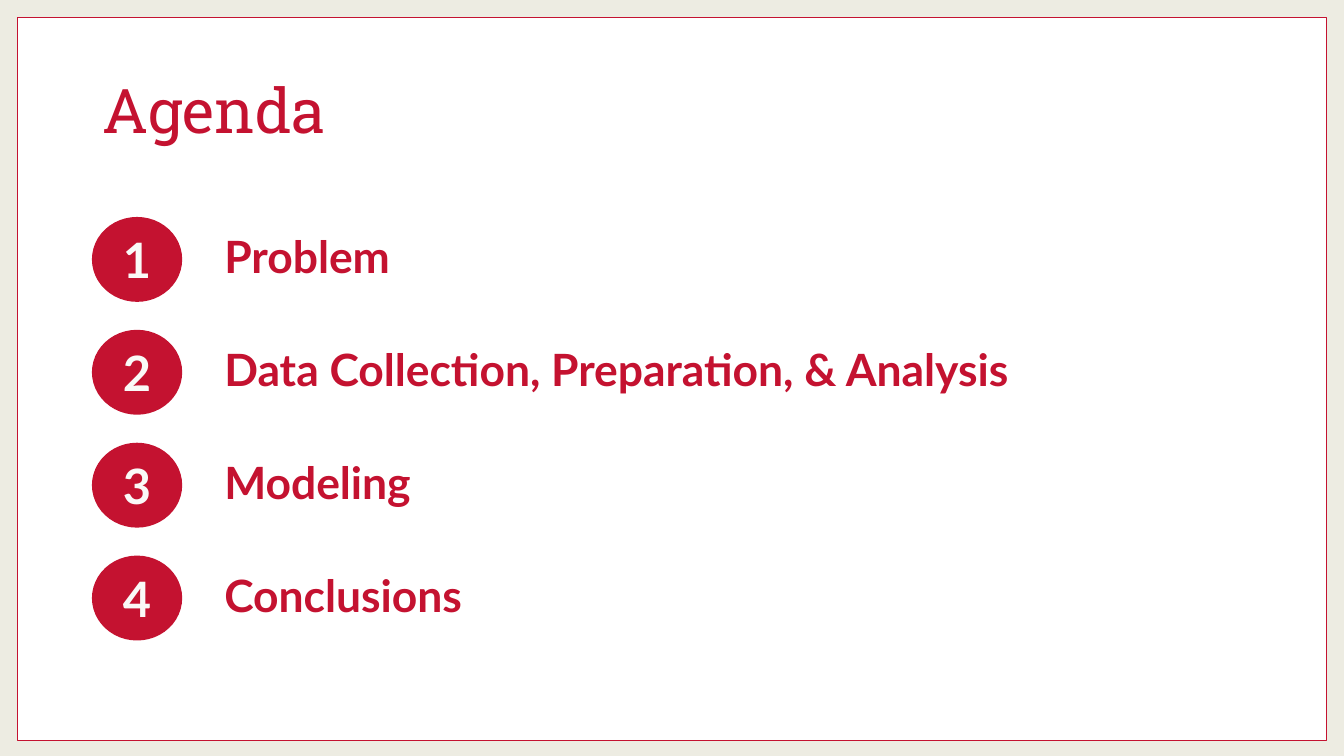
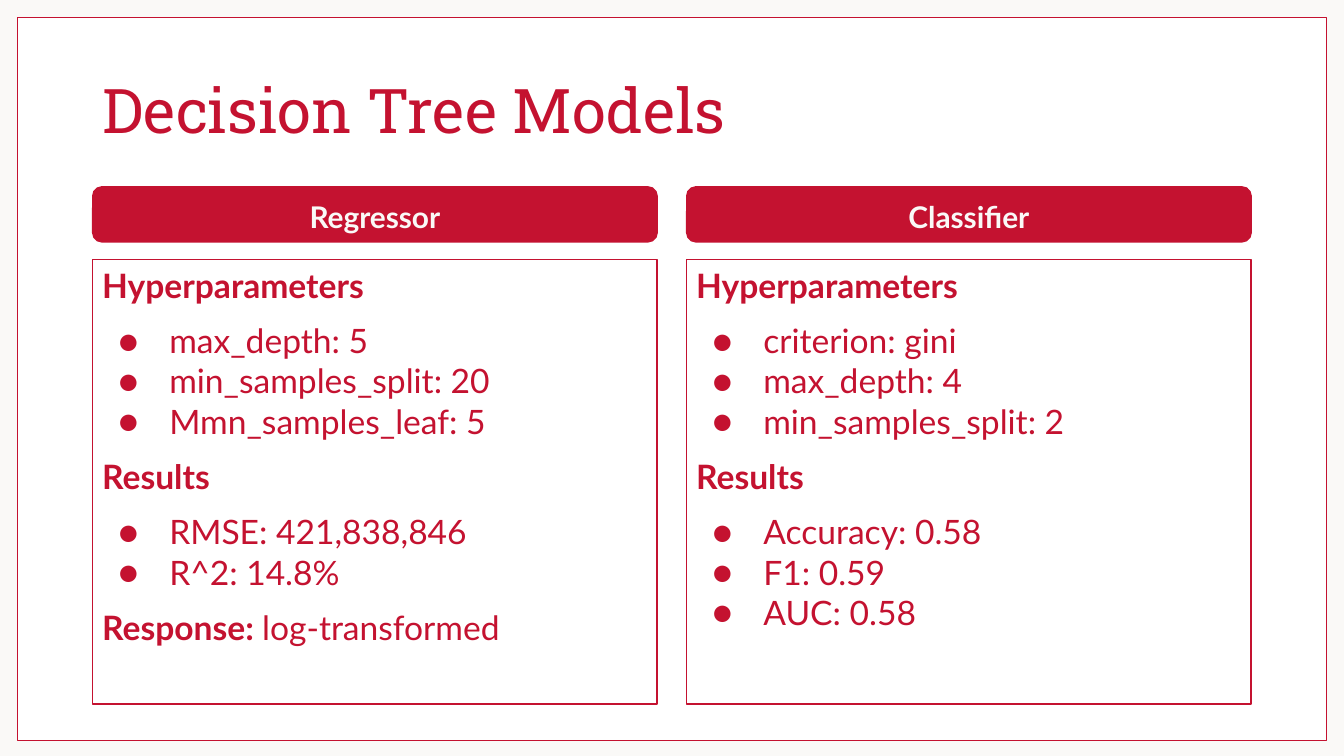
import pptx
import pptx.dml.color
import pptx.enum.shapes
import pptx.enum.text
import pptx.oxml
import pptx.oxml.ns
import pptx.util

Inches = pptx.util.Inches
Pt = pptx.util.Pt
Shape = pptx.enum.shapes.MSO_SHAPE
Align = pptx.enum.text.PP_ALIGN
Anchor = pptx.enum.text.MSO_ANCHOR

COLORS = {"red": "C41230", "white": "FFFFFF", "cream": "FAF9F7", "sand": "EDECE2"}
LEFT, WIDTH = 0.69, 8.62


def color(name):
    return pptx.dml.color.RGBColor.from_string(COLORS[name])


def write(para, text, size=18, font="Lato", ink="red", bold=False, align=Align.LEFT,
          lead=1.0, before=0, bullet=False):
    """Add a run of text to a paragraph and format both."""
    para.alignment = align
    para.line_spacing = lead
    para.space_before = Pt(before)
    if bullet:
        props = para._p.get_or_add_pPr()
        props.set("marL", str(Inches(0.5)))
        props.set("indent", str(Inches(-0.38)))
        space = pptx.oxml.ns.nsdecls("a")
        for mark in (f'<a:buClr {space}><a:srgbClr val="{COLORS[ink]}"/></a:buClr>',
                     f'<a:buFont {space} typeface="{font}"/>',
                     f'<a:buChar {space} char="●"/>'):
            props.append(pptx.oxml.parse_xml(mark))
    run = para.add_run()
    run.text = text
    run.font.size = Pt(size)
    run.font.name = font
    run.font.bold = bold
    run.font.color.rgb = color(ink)


class Deck:
    def __init__(self):
        self.prs = pptx.Presentation()
        self.prs.slide_width = Inches(10)
        self.prs.slide_height = Inches(10) * 9 // 16
        self.slide = None

    def page(self, title, back):
        """Start a slide with its background, frame and title."""
        self.slide = self.prs.slides.add_slide(self.prs.slide_layouts[6])
        fill = self.slide.background.fill
        fill.solid()
        fill.fore_color.rgb = color(back)
        self.shape(Shape.RECTANGLE, 0.13, 0.13, 9.74, 5.38, fill="white")
        frame = self.label(LEFT, 0.3, WIDTH, 1.09, pad=(0.07, 0.04))
        write(frame.paragraphs[0], title, size=33, font="Roboto Slab", lead=0.9)

    def inset(self, frame, pad, anchor):
        frame.word_wrap = True
        frame.vertical_anchor = anchor
        frame.margin_left = frame.margin_right = Inches(pad[0])
        frame.margin_top = frame.margin_bottom = Inches(pad[1])
        return frame

    def label(self, x, y, w, h, pad=(0.11, 0.11)):
        box = self.slide.shapes.add_textbox(Inches(x), Inches(y), Inches(w), Inches(h))
        return self.inset(box.text_frame, pad, Anchor.MIDDLE)

    def shape(self, kind, x, y, w, h, fill=None, line=0.75, pad=(0.1, 0.1),
              anchor=Anchor.MIDDLE):
        item = self.slide.shapes.add_shape(kind, Inches(x), Inches(y), Inches(w), Inches(h))
        item.shadow.inherit = False
        if fill:
            item.fill.solid()
            item.fill.fore_color.rgb = color(fill)
        else:
            item.fill.background()
        item.line.color.rgb = color("red")
        item.line.width = Pt(line)
        return self.inset(item.text_frame, pad, anchor)

    def topic(self, num, text, y):
        """Numbered disc with its agenda entry."""
        disc = self.shape(Shape.OVAL, LEFT, y, 0.66, 0.62, fill="red", line=0.85,
                          pad=(0.11, 0.11))
        write(disc.paragraphs[0], str(num), size=26.1, ink="cream", bold=True,
              align=Align.CENTER)
        entry = self.label(1.56, y, 7.6, 0.62)
        write(entry.paragraphs[0], text, size=23.8, bold=True, lead=0.9)

    def panel(self, title, parts, x, w):
        """Header bar above a box of headed bullet lists."""
        bar = self.shape(Shape.ROUNDED_RECTANGLE, x, 1.39, w, 0.41, fill="red")
        write(bar.paragraphs[0], title, size=16, ink="cream", bold=True,
              align=Align.CENTER, lead=1.15)
        body = self.shape(Shape.RECTANGLE, x, 1.93, w, 3.31, pad=(0.07, 0.04),
                          anchor=Anchor.TOP)
        for i, (head, tail, items) in enumerate(parts):
            para = body.add_paragraph() if i else body.paragraphs[0]
            gap = 8 if i else 0
            write(para, head, bold=True, before=gap)
            if tail:
                write(para, tail, before=gap)
            for j, item in enumerate(items):
                write(body.add_paragraph(), item, before=0 if j else 8, bullet=True)


def main():
    deck = Deck()

    # Agenda
    deck.page("Agenda", "sand")
    topics = ["Problem", "Data Collection, Preparation, & Analysis", "Modeling",
              "Conclusions"]
    for i, text in enumerate(topics):
        deck.topic(i + 1, text, 1.62 + 0.84 * i)

    # Decision tree models
    deck.page("Decision Tree Models", "cream")
    models = {
        "Regressor": [
            ("Hyperparameters", "",
             ["max_depth: 5", "min_samples_split: 20", "Mmn_samples_leaf: 5"]),
            ("Results", "", ["RMSE: 421,838,846", "R^2: 14.8%"]),
            ("Response: ", "log-transformed", []),
        ],
        "Classifier": [
            ("Hyperparameters", "",
             ["criterion: gini", "max_depth: 4", "min_samples_split: 2"]),
            ("Results", "", ["Accuracy: 0.58", "F1: 0.59", "AUC: 0.58"]),
        ],
    }
    wide = 4.2
    for i, (name, parts) in enumerate(models.items()):
        deck.panel(name, parts, LEFT + i * (WIDTH - wide), wide)

    deck.prs.save("out.pptx")


if __name__ == "__main__":
    main()
